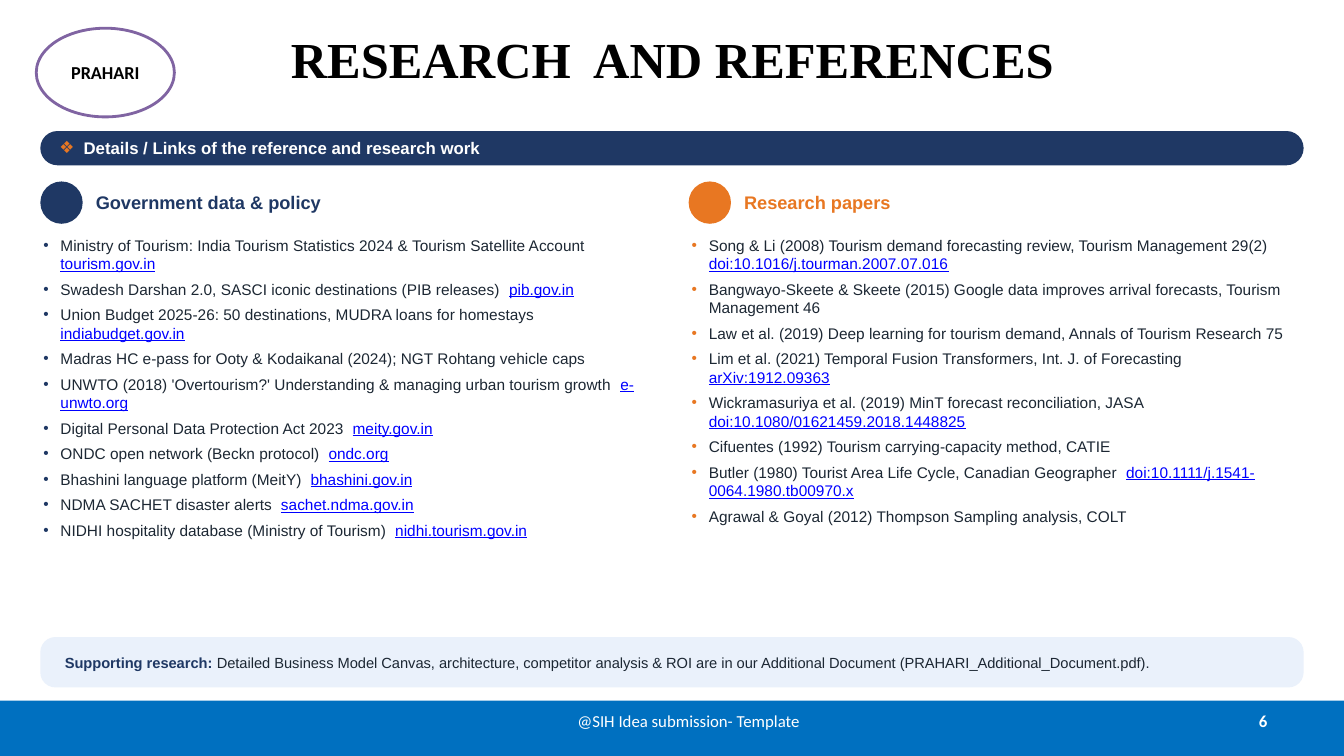
from dataclasses import dataclass
from typing import NamedTuple

from lxml.etree import SubElement
from pptx import Presentation
from pptx.dml.color import RGBColor
from pptx.enum.shapes import MSO_SHAPE
from pptx.enum.text import MSO_ANCHOR, MSO_AUTO_SIZE, PP_ALIGN
from pptx.oxml.ns import qn
from pptx.shapes.autoshape import Shape
from pptx.slide import Slide
from pptx.text.text import TextFrame
from pptx.util import Emu, Pt

SCALE = 9144
NAVY, ORANGE, INK, LINK = "1F3864", "E87722", "1C2733", "0000FF"
WHITE, BLACK, BLUE, PALE, PURPLE = "FFFFFF", "000000", "0070C0", "EAF1FB", "8064A2"


class Box(NamedTuple):
    x: int
    y: int
    w: int
    h: int


class Part(NamedTuple):
    text: str
    color: str = INK
    bold: bool = False
    underline: bool = False


class Entry(NamedTuple):
    text: str
    link: str = ""


class Column(NamedTuple):
    x: int
    color: str
    head: str
    items: list[Entry]


@dataclass
class Style:
    size: float
    font: str = "Arial"
    align: PP_ALIGN = PP_ALIGN.LEFT
    anchor: MSO_ANCHOR = MSO_ANCHOR.MIDDLE
    pad: tuple[int, int] = (10, 5)
    after: int = 0
    mark: str = ""
    tint: str = ""
    hang: int = 0
    wrap: bool = True


POLICY = [
    Entry("Ministry of Tourism: India Tourism Statistics 2024 & Tourism Satellite Account", "tourism.gov.in"),
    Entry("Swadesh Darshan 2.0, SASCI iconic destinations (PIB releases)", "pib.gov.in"),
    Entry("Union Budget 2025-26: 50 destinations, MUDRA loans for homestays", "indiabudget.gov.in"),
    Entry("Madras HC e-pass for Ooty & Kodaikanal (2024); NGT Rohtang vehicle caps"),
    Entry("UNWTO (2018) 'Overtourism?' Understanding & managing urban tourism growth", "e-unwto.org"),
    Entry("Digital Personal Data Protection Act 2023", "meity.gov.in"),
    Entry("ONDC open network (Beckn protocol)", "ondc.org"),
    Entry("Bhashini language platform (MeitY)", "bhashini.gov.in"),
    Entry("NDMA SACHET disaster alerts", "sachet.ndma.gov.in"),
    Entry("NIDHI hospitality database (Ministry of Tourism)", "nidhi.tourism.gov.in"),
]
PAPERS = [
    Entry("Song & Li (2008) Tourism demand forecasting review, Tourism Management 29(2)",
          "doi:10.1016/j.tourman.2007.07.016"),
    Entry("Bangwayo-Skeete & Skeete (2015) Google data improves arrival forecasts, Tourism Management 46"),
    Entry("Law et al. (2019) Deep learning for tourism demand, Annals of Tourism Research 75"),
    Entry("Lim et al. (2021) Temporal Fusion Transformers, Int. J. of Forecasting", "arXiv:1912.09363"),
    Entry("Wickramasuriya et al. (2019) MinT forecast reconciliation, JASA", "doi:10.1080/01621459.2018.1448825"),
    Entry("Cifuentes (1992) Tourism carrying-capacity method, CATIE"),
    Entry("Butler (1980) Tourist Area Life Cycle, Canadian Geographer", "doi:10.1111/j.1541-0064.1980.tb00970.x"),
    Entry("Agrawal & Goyal (2012) Thompson Sampling analysis, COLT"),
]
COLUMNS = [
    Column(40, NAVY, "Government data & policy", POLICY),
    Column(683, ORANGE, "Research papers", PAPERS),
]


def px(size: int) -> Emu:
    return Emu(size * SCALE)


def rgb(color: str) -> RGBColor:
    return RGBColor.from_string(color)


def assign(target: object, values: dict[str, object]) -> None:
    for name, value in values.items():
        setattr(target, name, value)


def place(shape: Shape, box: Box) -> None:
    assign(shape, dict(zip(("left", "top", "width", "height"), map(px, box))))


def write(frame: TextFrame, lines: list[list[Part]], style: Style) -> None:
    side, edge = map(px, style.pad)
    assign(frame, {
        "word_wrap": style.wrap, "auto_size": MSO_AUTO_SIZE.NONE,
        "vertical_anchor": style.anchor,
        "margin_left": side, "margin_right": side,
        "margin_top": edge, "margin_bottom": edge,
    })
    for index, parts in enumerate(lines):
        para = frame.add_paragraph() if index else frame.paragraphs[0]
        assign(para, {"alignment": style.align, "space_after": Pt(style.after)})
        if style.mark:
            props = para._p.get_or_add_pPr()
            props.set("marL", str(px(style.hang)))
            props.set("indent", str(-px(style.hang)))
            tint = SubElement(props, qn("a:buClr"))
            SubElement(tint, qn("a:srgbClr"), val=style.tint)
            SubElement(props, qn("a:buFont"), typeface=style.font)
            SubElement(props, qn("a:buChar"), char=style.mark)
        for part in parts:
            run = para.add_run()
            run.text = part.text
            assign(run.font, {
                "name": style.font, "size": Pt(style.size),
                "bold": part.bold, "underline": part.underline,
            })
            run.font.color.rgb = rgb(part.color)


def label(slide: Slide, box: Box, lines: list[list[Part]], style: Style) -> None:
    write(slide.shapes.add_textbox(*map(px, box)).text_frame, lines, style)


def draw(slide: Slide, kind: MSO_SHAPE, box: Box, color: str, curve: float = 0) -> Shape:
    shape = slide.shapes.add_shape(kind, *map(px, box))
    shape.shadow.inherit = False
    shape.fill.solid()
    shape.fill.fore_color.rgb = rgb(color)
    shape.line.fill.background()
    if curve:
        shape.adjustments[0] = curve
    return shape


def cite(entry: Entry) -> list[Part]:
    if not entry.link:
        return [Part(entry.text)]
    return [Part(entry.text + "  "), Part(entry.link, LINK, underline=True)]


def list_refs(slide: Slide, column: Column) -> None:
    x, color, head, items = column
    draw(slide, MSO_SHAPE.OVAL, Box(x, 180, 42, 42), color)
    label(slide, Box(x + 52, 180, 555, 42), [[Part(head, color, True)]],
          Style(13, pad=(3, 2), after=2))
    label(slide, Box(x, 232, 610, 390), [cite(item) for item in items],
          Style(11, anchor=MSO_ANCHOR.TOP, pad=(3, 2), after=5, mark="•", tint=color, hang=17))


def main() -> None:
    deck = Presentation()
    assign(deck, {"slide_width": px(1333), "slide_height": px(750)})
    slide = deck.slides.add_slide(deck.slide_layouts[5])

    draw(slide, MSO_SHAPE.RECTANGLE, Box(0, 695, 1333, 55), BLUE)
    title = slide.shapes.title
    place(title, Box(67, -5, 1200, 125))
    write(title.text_frame, [[Part("RESEARCH  AND REFERENCES", BLACK, True)]],
          Style(36, "Times New Roman", PP_ALIGN.CENTER))
    label(slide, Box(956, 695, 311, 40), [[Part("6", WHITE, True)]],
          Style(12, "Calibri", PP_ALIGN.RIGHT))
    label(slide, Box(508, 695, 350, 40), [[Part("@SIH Idea submission- Template", WHITE)]],
          Style(12, "Calibri", PP_ALIGN.CENTER))

    badge = draw(slide, MSO_SHAPE.OVAL, Box(36, 28, 137, 88), WHITE)
    badge.line.color.rgb = rgb(PURPLE)
    badge.line.width = Pt(2)
    write(badge.text_frame, [[Part("PRAHARI", BLACK, True)]],
          Style(13, "Calibri", PP_ALIGN.CENTER, pad=(0, 5), wrap=False))

    banner = draw(slide, MSO_SHAPE.ROUNDED_RECTANGLE, Box(40, 130, 1253, 34), NAVY, 0.5)
    write(banner.text_frame, [[Part("Details / Links of the reference and research work", WHITE, True)]],
          Style(12, pad=(14, 3), after=2, mark="❖", tint=ORANGE, hang=24))

    for column in COLUMNS:
        list_refs(slide, column)

    note = draw(slide, MSO_SHAPE.ROUNDED_RECTANGLE, Box(40, 632, 1253, 50), PALE, 0.3)
    write(note.text_frame, [[
        Part("Supporting research: ", NAVY, True),
        Part("Detailed Business Model Canvas, architecture, competitor analysis & ROI are in our "
             "Additional Document (PRAHARI_Additional_Document.pdf)."),
    ]], Style(10.5, pad=(20, 3), after=2))

    deck.save("out.pptx")


if __name__ == "__main__":
    main()
